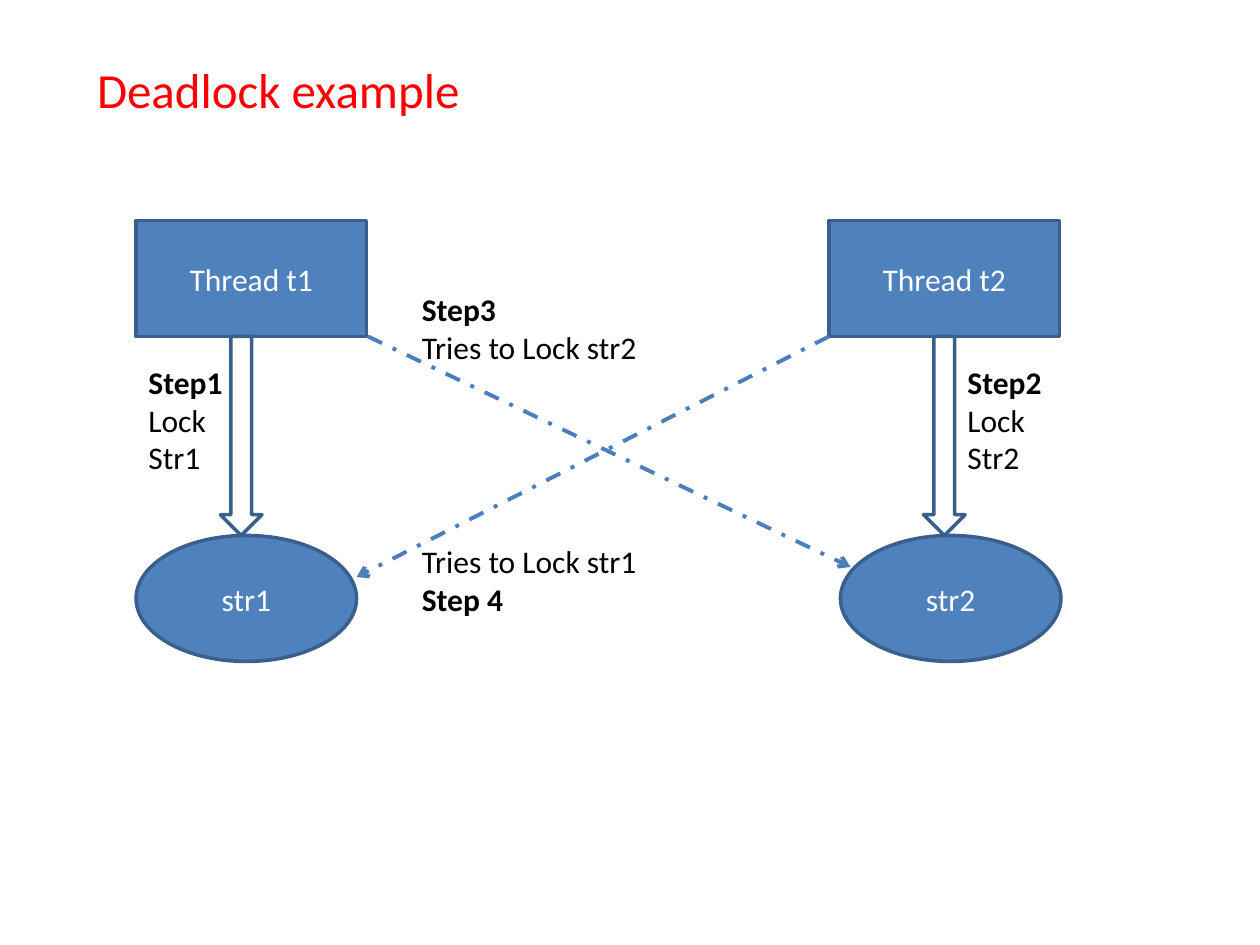
from lxml import etree
from pptx import Presentation
from pptx.dml.color import RGBColor
from pptx.enum.dml import MSO_LINE
from pptx.enum.shapes import MSO_CONNECTOR, MSO_SHAPE
from pptx.enum.text import MSO_ANCHOR, MSO_AUTO_SIZE, PP_ALIGN
from pptx.oxml.ns import qn
from pptx.util import Inches, Pt

RECTANGLE, OVAL, DOWN_ARROW = MSO_SHAPE.RECTANGLE, MSO_SHAPE.OVAL, MSO_SHAPE.DOWN_ARROW
STRAIGHT = MSO_CONNECTOR.STRAIGHT
DASH_DOT = MSO_LINE.DASH_DOT
TOP, MIDDLE = MSO_ANCHOR.TOP, MSO_ANCHOR.MIDDLE
LEFT, CENTER = PP_ALIGN.LEFT, PP_ALIGN.CENTER
GROW, FIXED = MSO_AUTO_SIZE.SHAPE_TO_FIT_TEXT, MSO_AUTO_SIZE.NONE

BLUE = RGBColor(0x4F, 0x81, 0xBD)
OUTLINE = RGBColor(0x3A, 0x5F, 0x8C)
REQUEST = RGBColor(0x4B, 0x7E, 0xBC)
WHITE = RGBColor(0xFF, 0xFF, 0xFF)
BLACK = RGBColor(0, 0, 0)
RED = RGBColor(0xFF, 0, 0)
FONT = "Calibri"
TITLE_ONLY = 5


def add_run(paragraph, text, color, size=18, bold=False):
    run = paragraph.add_run()
    run.text = text
    run.font.name = FONT
    run.font.size = Pt(size)
    run.font.bold = bold
    run.font.color.rgb = color


def set_title(slide, text):
    title = slide.shapes.title
    title.left, title.top = Inches(0.67), Inches(0.42)
    title.width, title.height = Inches(4.58), Inches(0.57)
    frame = title.text_frame
    frame.vertical_anchor = TOP
    frame.auto_size = FIXED
    frame.word_wrap = True
    heading = frame.paragraphs[0]
    heading.alignment = LEFT
    add_run(heading, text, RED, 28)


def add_block(slide, preset, box, fill, label=None):
    block = slide.shapes.add_shape(preset, *map(Inches, box))
    block.shadow.inherit = False
    block.fill.solid()
    block.fill.fore_color.rgb = fill
    block.line.color.rgb = OUTLINE
    block.line.width = Pt(2)
    if label:
        block.text_frame.vertical_anchor = MIDDLE
        paragraph = block.text_frame.paragraphs[0]
        paragraph.alignment = CENTER
        add_run(paragraph, label, WHITE)


def add_step(slide, box, lines):
    frame = slide.shapes.add_textbox(*map(Inches, box)).text_frame
    frame.word_wrap = True
    frame.auto_size = GROW
    for index, line in enumerate(lines):
        paragraph = frame.add_paragraph() if index else frame.paragraphs[0]
        add_run(paragraph, line, BLACK, bold=line.startswith("Step"))


def add_request(slide, start, end):
    request = slide.shapes.add_connector(STRAIGHT, *map(Inches, start + end))
    request.line.color.rgb = REQUEST
    request.line.width = Pt(2.25)
    request.line.dash_style = DASH_DOT
    properties = request._element.spPr
    etree.SubElement(properties.find(qn("a:ln")), qn("a:tailEnd"), type="arrow")
    etree.SubElement(properties, qn("a:effectLst"))


def main():
    deck = Presentation()
    deck.slide_width, deck.slide_height = Inches(10), Inches(7.5)
    slide = deck.slides.add_slide(deck.slide_layouts[TITLE_ONLY])
    set_title(slide, "Deadlock example")

    columns = [
        (1, 1.08, 1.08, 1.75, 1.08),
        (2, 6.58, 6.67, 7.33, 7.58),
    ]
    for number, thread_x, lock_x, arrow_x, step_x in columns:
        add_block(slide, RECTANGLE, (thread_x, 1.75, 1.83, 0.92), BLUE, f"Thread t{number}")
        add_block(slide, OVAL, (lock_x, 4.25, 1.75, 1), BLUE, f"str{number}")
        add_block(slide, DOWN_ARROW, (arrow_x, 2.67, 0.33, 1.58), WHITE)
        add_step(slide, (step_x, 2.83, 1, 1.01), [f"Step{number}", "Lock", f"Str{number}"])

    add_request(slide, (2.92, 2.67), (6.75, 4.5))
    add_step(slide, (3.25, 2.25, 2, 0.71), ["Step3", "Tries to Lock str2"])
    add_request(slide, (6.58, 2.67), (2.83, 4.58))
    add_step(slide, (3.25, 4.25, 2, 0.71), ["Tries to Lock str1", "Step 4"])

    deck.save("out.pptx")


main()
